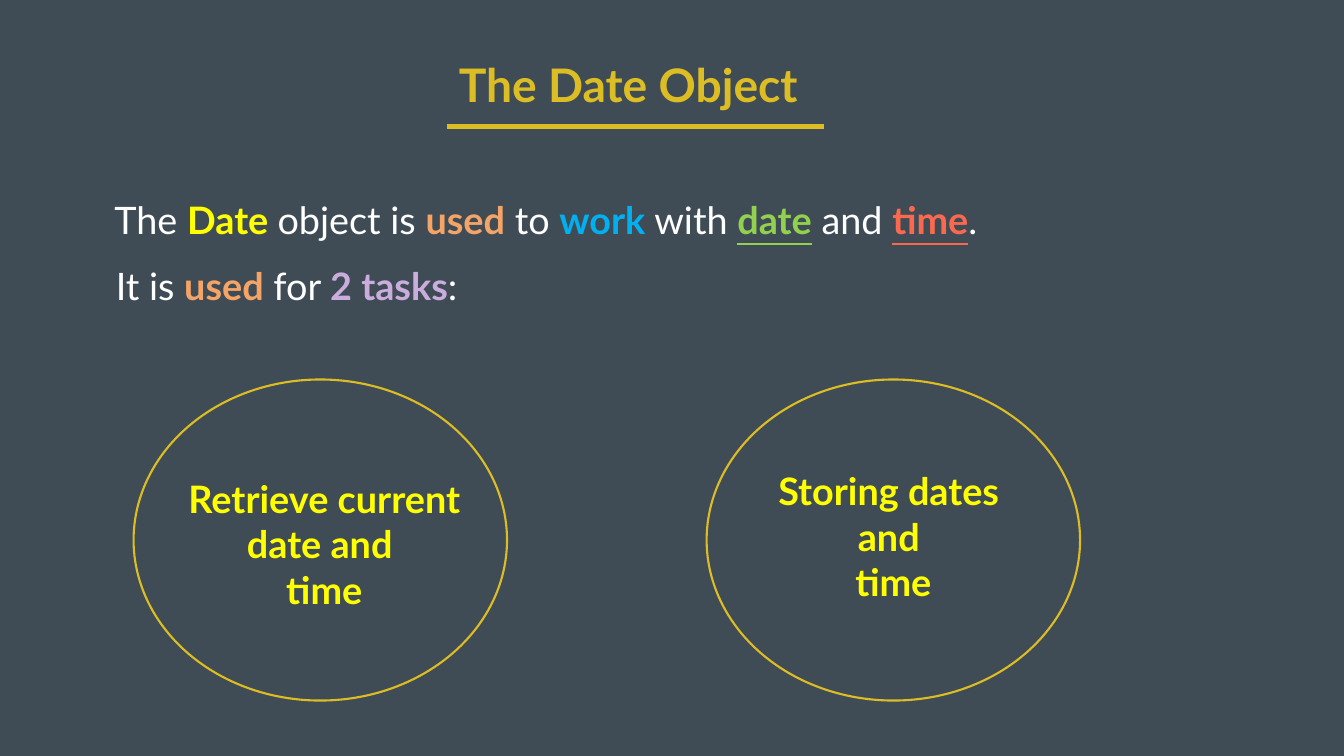
"""Build the slide that introduces the Date object and its two tasks."""
from dataclasses import dataclass

from lxml import etree
from pptx import Presentation
from pptx.dml.color import RGBColor
from pptx.enum.shapes import MSO_CONNECTOR, MSO_SHAPE
from pptx.enum.text import MSO_ANCHOR, MSO_AUTO_SIZE, PP_ALIGN
from pptx.oxml.ns import qn
from pptx.util import Pt

STRAIGHT, ELLIPSE = MSO_CONNECTOR.STRAIGHT, MSO_SHAPE.OVAL
LEFT, CENTER = PP_ALIGN.LEFT, PP_ALIGN.CENTER
TOP, MIDDLE = MSO_ANCHOR.TOP, MSO_ANCHOR.MIDDLE
GROW = MSO_AUTO_SIZE.SHAPE_TO_FIT_TEXT


@dataclass(frozen=True)
class Theme:
    font: str = "Lato"
    title_size: float = 66
    body_size: float = 54
    background: str = "404C55"
    gold: str = "DCBD23"
    white: str = "FFFFFF"
    yellow: str = "FFFF00"
    orange: str = "F4A467"
    blue: str = "00B0F0"
    green: str = "92D050"
    red: str = "FA694E"
    lilac: str = "CAACDD"
    rule_width: float = 8
    circle_width: float = 3


THEME = Theme()
SLIDE_SIZE = (1920, 1080)

TITLE = "The Date Object"
TITLE_BOX = (360, 95.76, 1074.96, 64.08)
RULE = (638.64, 180.72, 1176.48, 180.72)

SENTENCES = [
    ((156.24, 277.2, 1731.6, 72.72), [
        ("The ", THEME.white), ("Date ", THEME.yellow),
        ("object is ", THEME.white), ("used", THEME.orange),
        (" to ", THEME.white), ("work", THEME.blue),
        (" with ", THEME.white), ("date", THEME.green),
        (" and ", THEME.white), ("time", THEME.red), (".", THEME.white)]),
    ((158.4, 371.52, 959.76, 72.72), [
        ("It is ", THEME.white), ("used", THEME.orange),
        (" for ", THEME.white), ("2 tasks", THEME.lilac),
        (":", THEME.white)]),
]
UNDERLINED = (THEME.green, THEME.red)

TASKS = [
    (["Retrieve current", "date and ", "time"], (246.96, 676.08, 432.72, 203.76)),
    (["Storing dates ", "and ", "time"], (1087.2, 665.28, 378, 203.76)),
]
CIRCLE_LEFT, CIRCLE_TOP, CIRCLE_STEP = 190.8, 542.16, 818.64
CIRCLE_SIZE = (533.52, 458.64)


def points(values):
    return [Pt(value) for value in values]


def write(holder, paragraphs, *, size=THEME.body_size, align=LEFT, anchor=TOP,
          wrap=True, spacing=None, inset=None):
    frame = holder.text_frame
    frame.word_wrap = wrap
    frame.vertical_anchor = anchor
    frame.auto_size = GROW
    if inset is not None:
        frame.margin_left = frame.margin_right = Pt(inset)
        frame.margin_top = frame.margin_bottom = Pt(inset)
    for index, pieces in enumerate(paragraphs):
        paragraph = frame.add_paragraph() if index else frame.paragraphs[0]
        paragraph.alignment = align
        if spacing:
            paragraph.line_spacing = spacing
        for words, color in pieces:
            run = paragraph.add_run()
            run.text = words
            run.font.name = THEME.font
            run.font.size = Pt(size)
            run.font.bold = color != THEME.white
            run.font.underline = color in UNDERLINED
            run.font.color.rgb = RGBColor.from_string(color)


def outline(part, width):
    part.line.color.rgb = RGBColor.from_string(THEME.gold)
    part.line.width = Pt(width)


def main():
    deck = Presentation()
    deck.slide_width, deck.slide_height = points(SLIDE_SIZE)
    slide = deck.slides.add_slide(deck.slide_layouts[5])
    slide.background.fill.solid()
    slide.background.fill.fore_color.rgb = RGBColor.from_string(THEME.background)
    shapes = slide.shapes

    title = shapes.title
    title.left, title.top, title.width, title.height = points(TITLE_BOX)
    write(title, [[(TITLE, THEME.gold)]], size=THEME.title_size, align=CENTER,
          anchor=MIDDLE, spacing=0.8, inset=0)

    for box, pieces in SENTENCES:
        write(shapes.add_textbox(*points(box)), [pieces])

    rule = shapes.add_connector(STRAIGHT, *points(RULE))
    outline(rule, THEME.rule_width)
    etree.SubElement(rule._element.spPr, qn("a:effectLst"))

    for index, (lines, box) in enumerate(TASKS):
        write(shapes.add_textbox(*points(box)),
              [[(line, THEME.yellow)] for line in lines], align=CENTER, wrap=False)
        corner = (CIRCLE_LEFT + index * CIRCLE_STEP, CIRCLE_TOP)
        circle = shapes.add_shape(ELLIPSE, *points(corner + CIRCLE_SIZE))
        circle.fill.background()
        circle.shadow.inherit = False
        outline(circle, THEME.circle_width)

    deck.save("out.pptx")


if __name__ == "__main__":
    main()
